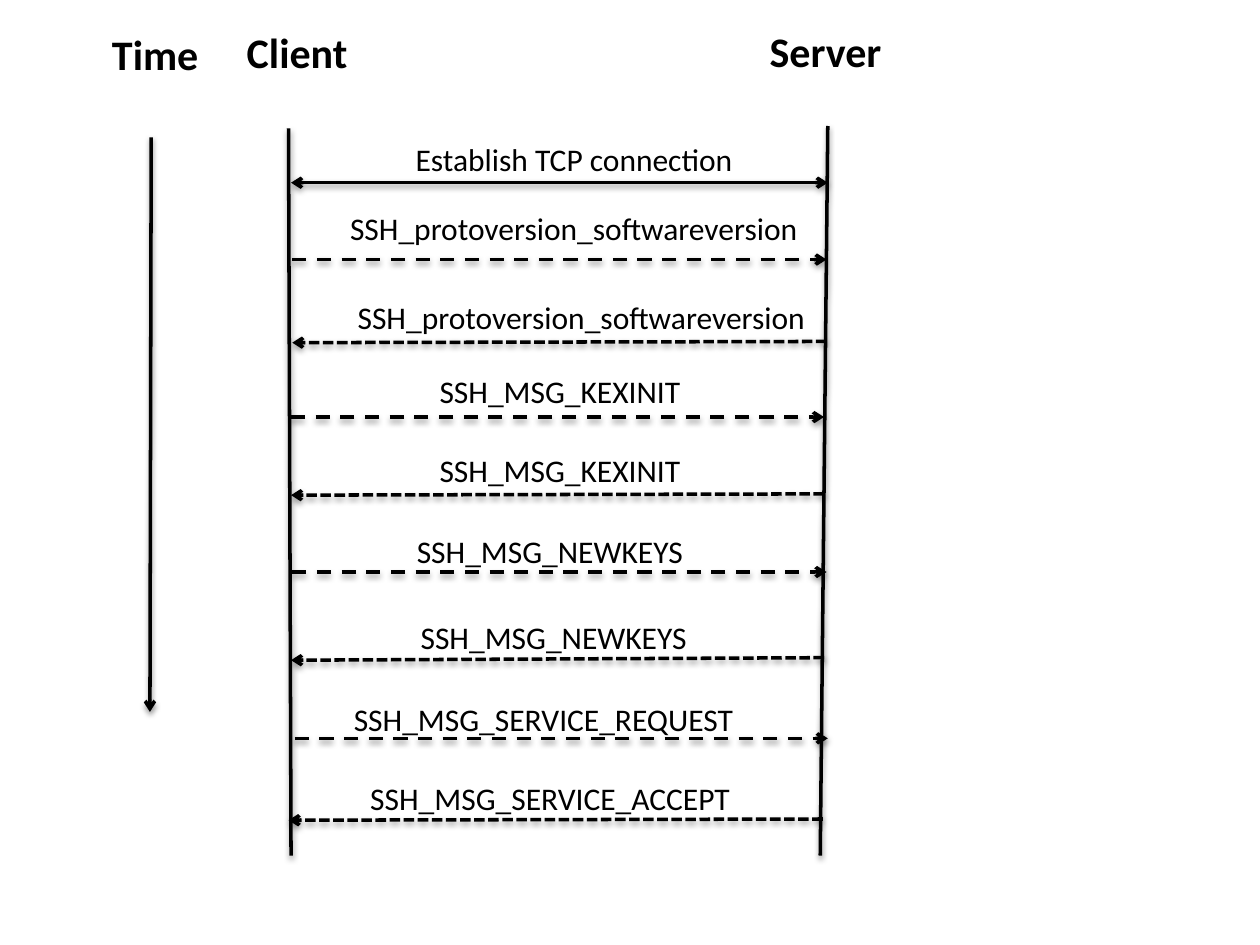
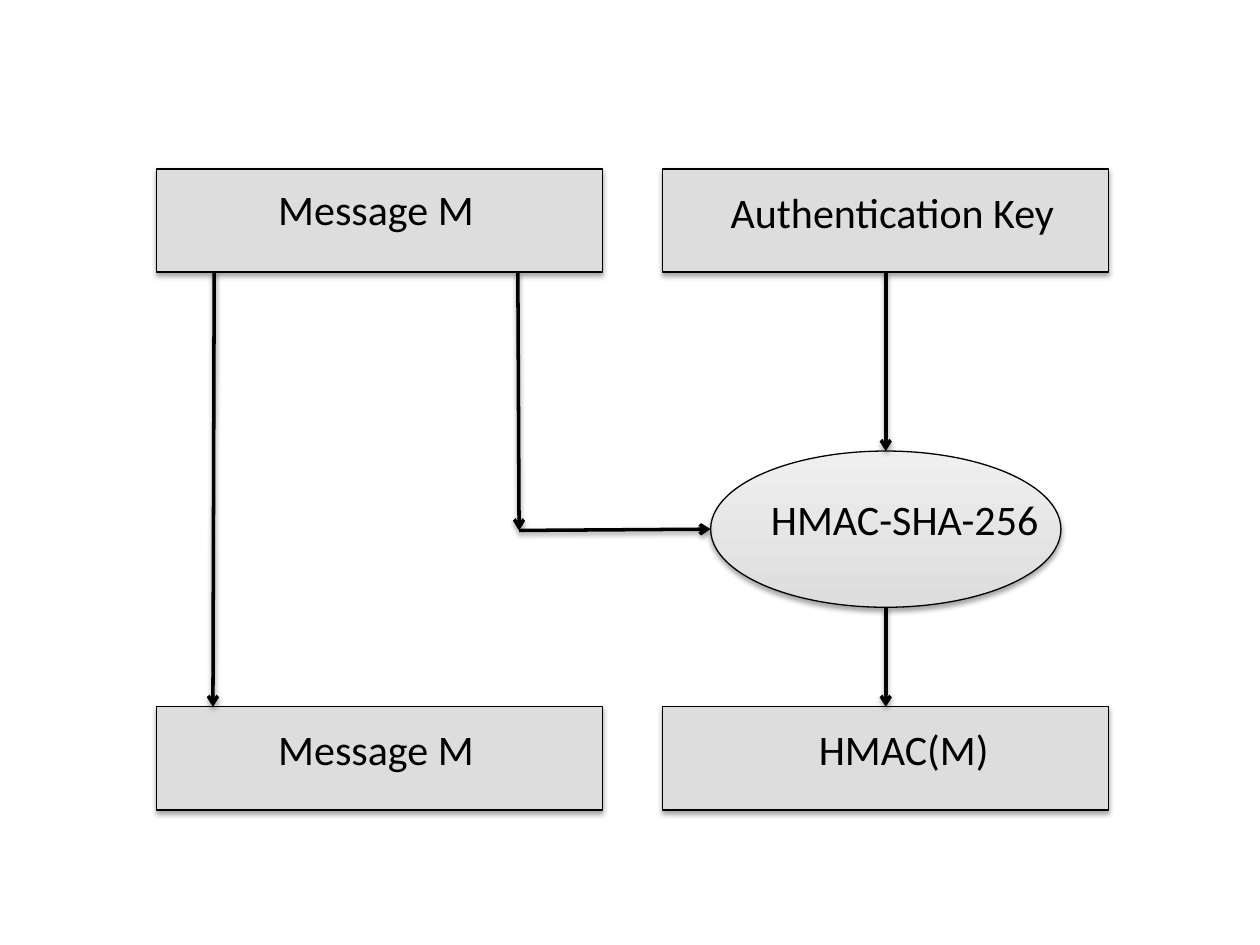
from dataclasses import dataclass

from lxml import etree
from pptx import Presentation
from pptx.dml.color import RGBColor
from pptx.enum.dml import MSO_LINE_DASH_STYLE as DASH
from pptx.enum.shapes import MSO_CONNECTOR, MSO_SHAPE
from pptx.enum.text import MSO_AUTO_SIZE
from pptx.oxml.ns import qn
from pptx.util import Inches, Pt


@dataclass(frozen=True)
class Theme:
    font: str = "Calibri"
    ink: RGBColor = RGBColor(0x00, 0x00, 0x00)
    paper: RGBColor = RGBColor(0xFF, 0xFF, 0xFF)
    box: RGBColor = RGBColor(0xDD, 0xDD, 0xDD)
    highlight: RGBColor = RGBColor(0xEF, 0xEF, 0xEF)
    heading_size: int = 24
    message_size: int = 18
    arrow_width: float = 2
    outline_width: float = 0.75


class Diagram:
    def __init__(self, deck, theme):
        self.deck = deck
        self.theme = theme
        self.slide = None

    def new_slide(self):
        self.slide = self.deck.slides.add_slide(self.deck.slide_layouts[6])
        background = self.slide.background.fill
        background.solid()
        background.fore_color.rgb = self.theme.paper

    def text(self, words, left, top, width, size, bold=False):
        height = 0.5 if size == self.theme.heading_size else 0.4
        label = self.slide.shapes.add_textbox(
            Inches(left), Inches(top), Inches(width), Inches(height))
        frame = label.text_frame
        frame.word_wrap = True
        frame.auto_size = MSO_AUTO_SIZE.SHAPE_TO_FIT_TEXT
        frame.text = words
        font = frame.paragraphs[0].runs[0].font
        font.name, font.size, font.bold = self.theme.font, Pt(size), bold
        font.color.rgb = self.theme.ink

    def arrow(self, start, end, head=False, tail=True, dash=None):
        """Draw a straight line; head is the arrowhead at start, tail at end."""
        line = self.slide.shapes.add_connector(
            MSO_CONNECTOR.STRAIGHT, *map(Inches, start + end))
        line.line.width = Pt(self.theme.arrow_width)
        line.line.color.rgb = self.theme.ink
        if dash:
            line.line.dash_style = dash
        outline = line.line._get_or_add_ln()
        for tag, shown in (("a:headEnd", head), ("a:tailEnd", tail)):
            if shown:
                etree.SubElement(outline, qn(tag), type="arrow")
        effects = etree.SubElement(line._element.spPr, qn("a:effectLst"))
        self.drop_shadow(effects, distance=1.6, opacity=38)
        return line

    def block(self, kind, left, top, width, height):
        block = self.slide.shapes.add_shape(
            kind, Inches(left), Inches(top), Inches(width), Inches(height))
        if kind == MSO_SHAPE.OVAL:
            block.fill.gradient()
            block.fill.gradient_angle = 90
            shades = (self.theme.box, self.theme.highlight)
            for stop, shade in zip(block.fill.gradient_stops, shades):
                stop.color.rgb = shade
        else:
            block.fill.solid()
            block.fill.fore_color.rgb = self.theme.box
        block.line.color.rgb = self.theme.ink
        block.line.width = Pt(self.theme.outline_width)
        block.shadow.inherit = False
        effects = block._element.spPr.find(qn("a:effectLst"))
        self.drop_shadow(effects, distance=1.8, opacity=35)
        return block

    def drop_shadow(self, effects, distance, opacity):
        shadow = etree.SubElement(
            effects, qn("a:outerShdw"), blurRad=str(Pt(3.1)),
            dist=str(Pt(distance)), dir="5400000", rotWithShape="0")
        color = etree.SubElement(shadow, qn("a:srgbClr"), val=str(self.theme.ink))
        etree.SubElement(color, qn("a:alpha"), val=str(opacity * 1000))


def ssh_handshake(diagram):
    diagram.new_slide()
    theme = diagram.theme
    for actor, left, top, width in (("Time", 0.79, 0.18, 3.18),
                                    ("Client", 1.86, 0.16, 3.18),
                                    ("Server", 6.01, 0.15, 3.6)):
        diagram.text(actor, left, top, width, theme.heading_size, bold=True)

    diagram.arrow((1.2, 1.09), (1.19, 5.65))
    diagram.arrow((2.29, 1.02), (2.31, 6.79), tail=False)
    diagram.arrow((6.57, 1), (6.51, 6.79), tail=False)

    # message, label left and top, arrow start and end
    messages = (
        ("SSH_protoversion_softwareversion", 2.68, 1.61, (2.32, 2.06), (6.56, 2.06)),
        ("SSH_protoversion_softwareversion", 2.74, 2.32, (6.56, 2.71), (2.32, 2.72)),
        ("SSH_MSG_KEXINIT", 3.39, 2.9, (2.31, 3.31), (6.54, 3.31)),
        ("SSH_MSG_KEXINIT", 3.39, 3.53, (6.54, 3.92), (2.31, 3.93)),
        ("SSH_MSG_NEWKEYS", 3.21, 4.17, (2.32, 4.54), (6.56, 4.54)),
        ("SSH_MSG_NEWKEYS", 3.24, 4.86, (6.54, 5.22), (2.31, 5.24)),
        ("SSH_MSG_SERVICE_REQUEST", 2.71, 5.51, (2.34, 5.86), (6.57, 5.86)),
        ("SSH_MSG_SERVICE_ACCEPT", 2.84, 6.13, (6.53, 6.5), (2.29, 6.51)),
    )
    label_width = 4.17
    diagram.arrow((2.31, 1.45), (6.57, 1.45), head=True)
    diagram.text("Establish TCP connection", 3.2, 1.06, label_width, theme.message_size)
    for message, left, top, start, end in messages:
        from_client = start[0] < end[0]
        diagram.arrow(start, end, dash=DASH.DASH if from_client else DASH.SQUARE_DOT)
        diagram.text(message, left, top, label_width, theme.message_size)


def hmac_flow(diagram):
    diagram.new_slide()
    message_left, key_left = 1.24, 5.26
    top_row, bottom_row = 1.34, 5.61
    box_width, box_height = 3.54, 0.82
    box_bottom = top_row + box_height
    key_middle = key_left + box_width / 2

    _, key, _, digest = [
        diagram.block(MSO_SHAPE.RECTANGLE, left, top, box_width, box_height)
        for top in (top_row, bottom_row) for left in (message_left, key_left)]
    hmac = diagram.block(MSO_SHAPE.OVAL, 5.64, 3.58, 2.78, 1.24)

    for words, left, top in (("Message M", 2.11, 1.41),
                             ("Authentication Key", 5.7, 1.43),
                             ("HMAC-SHA-256", 6.02, 3.87),
                             ("Message M", 2.11, 5.69),
                             ("HMAC(M)", 6.4, 5.69)):
        diagram.text(words, left, top, 2.78, diagram.theme.heading_size)

    diagram.arrow((1.7, box_bottom), (1.69, bottom_row))
    diagram.arrow((4.11, box_bottom), (4.12, 4.21))
    diagram.arrow((4.12, 4.21), (5.64, 4.2))
    key_to_hmac = diagram.arrow((key_middle, box_bottom), (key_middle, 3.58))
    key_to_hmac.begin_connect(key, 2)
    key_to_hmac.end_connect(hmac, 0)
    hmac_to_digest = diagram.arrow((key_middle, 4.82), (key_middle, bottom_row))
    hmac_to_digest.end_connect(digest, 0)


def main():
    deck = Presentation()
    deck.slide_width, deck.slide_height = Inches(10), Inches(7.5)
    diagram = Diagram(deck, Theme())
    ssh_handshake(diagram)
    hmac_flow(diagram)
    deck.save("out.pptx")


if __name__ == "__main__":
    main()
